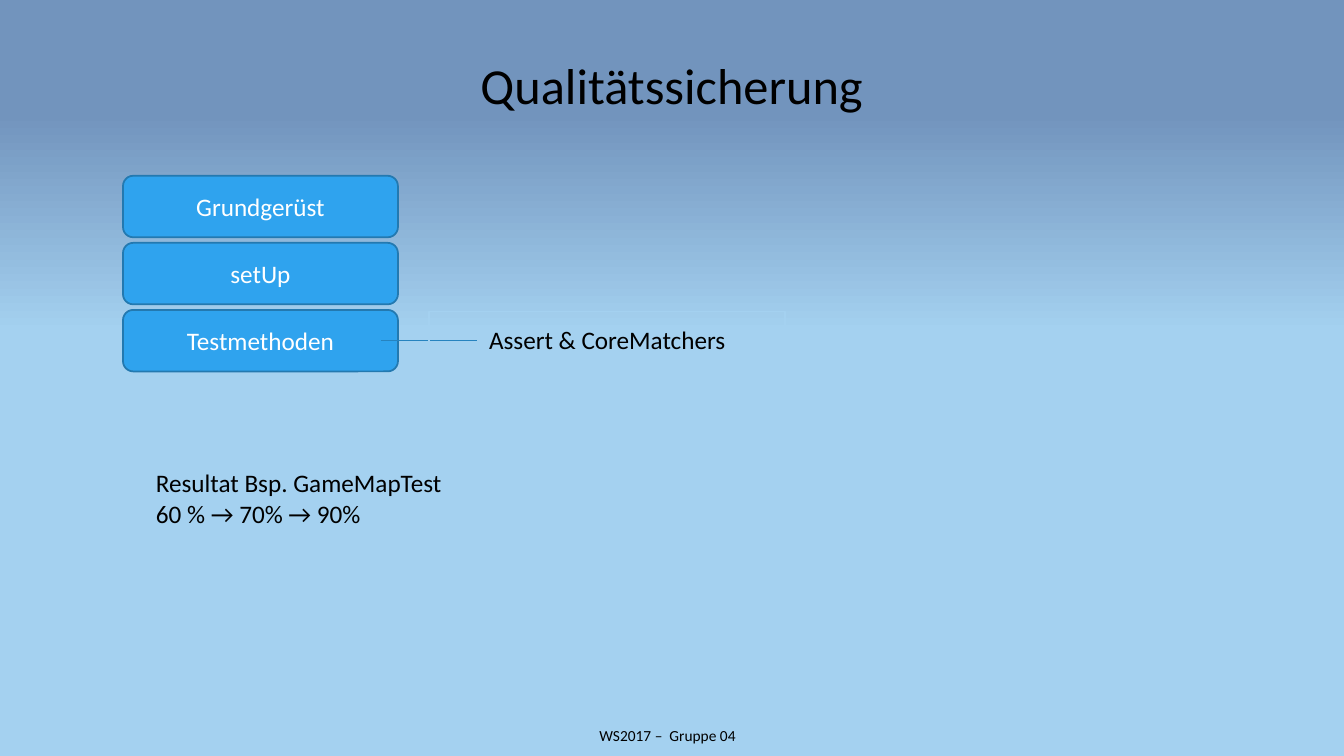
from lxml import etree
from pptx import Presentation
from pptx.dml.color import RGBColor
from pptx.enum.shapes import MSO_CONNECTOR, MSO_SHAPE
from pptx.enum.text import MSO_ANCHOR, MSO_AUTO_SIZE, PP_ALIGN
from pptx.oxml.ns import qn
from pptx.util import Cm, Pt

ROUNDED = MSO_SHAPE.ROUNDED_RECTANGLE
RECTANGLE = MSO_SHAPE.RECTANGLE
STRAIGHT = MSO_CONNECTOR.STRAIGHT
TOP, MIDDLE = MSO_ANCHOR.TOP, MSO_ANCHOR.MIDDLE
LEFT, CENTER = PP_ALIGN.LEFT, PP_ALIGN.CENTER
GROW = MSO_AUTO_SIZE.SHAPE_TO_FIT_TEXT


def rgb(value):
    return RGBColor.from_string(value)


class SlideBuilder:
    font = "Calibri"
    black, white = "000000", "FFFFFF"
    blue, border, link = "2FA3EE", "2379B0", "2683BF"
    sky, dusk = "A4D1F0", "7294BD"

    def __init__(self, slide):
        self.slide = slide

    def background(self, stops):
        fill = self.slide.background.fill
        fill.gradient()
        fill.gradient_angle = 270
        for stop, (position, color) in zip(fill.gradient_stops, stops):
            stop.position = position
            stop.color.rgb = rgb(color)

    def add_lines(self, sp, lines, size, color, align, anchor, spacing=None):
        tf = sp.text_frame
        tf.word_wrap = True
        tf.vertical_anchor = anchor
        for i, line in enumerate(lines):
            p = tf.add_paragraph() if i else tf.paragraphs[0]
            p.alignment = align
            p.line_spacing = spacing
            r = p.add_run()
            r.text = line
            r.font.name = self.font
            r.font.size = Pt(size)
            r.font.color.rgb = rgb(color)

    def text(self, box, lines, size, align=CENTER, anchor=MIDDLE, spacing=None):
        sp = self.slide.shapes.add_textbox(*map(Cm, box))
        self.add_lines(sp, lines, size, self.black, align, anchor, spacing)
        return sp

    def box(self, kind, box, label, fill, line, color):
        sp = self.slide.shapes.add_shape(kind, *map(Cm, box))
        sp.shadow.inherit = False
        if fill:
            sp.fill.solid()
            sp.fill.fore_color.rgb = rgb(fill)
        else:
            sp.fill.background()
        sp.line.color.rgb = rgb(line)
        sp.line.width = Pt(1.25)
        self.add_lines(sp, [label], 18, color, CENTER, MIDDLE)

    def line(self, x1, y1, x2, y2):
        cxn = self.slide.shapes.add_connector(STRAIGHT, *map(Cm, (x1, y1, x2, y2)))
        cxn.line.color.rgb = rgb(self.link)
        cxn.line.width = Pt(0.75)
        etree.SubElement(cxn._element.spPr, qn("a:effectLst"))


def main():
    prs = Presentation()
    prs.slide_width, prs.slide_height = Cm(33.87), Cm(19.05)
    s = SlideBuilder(prs.slides.add_slide(prs.slide_layouts[6]))

    s.background([(0.15, s.dusk), (0.44, s.sky)])
    s.text((2.54, 0, 28.78, 4.45), ["Qualitätssicherung"], 36, spacing=0.9)
    s.text((2.59, 18.01, 28.47, 1.02), ["WS2017 –  Gruppe 04"], 11)

    for i, step in enumerate(["Grundgerüst", "setUp", "Testmethoden"]):
        s.box(ROUNDED, (3.1, 4.43 + i * 1.69, 6.93, 1.55), step,
              s.blue, s.border, s.white)

    s.line(9.6, 8.57, 12.01, 8.57)
    s.box(RECTANGLE, (10.82, 7.85, 8.97, 1.42), "Assert & CoreMatchers",
          None, s.sky, s.black)

    result = s.text((3.68, 11.66, 13.84, 1.8),
                    ["Resultat Bsp. GameMapTest", "60 % → 70% → 90%"],
                    18, LEFT, TOP)
    result.text_frame.auto_size = GROW

    prs.save("out.pptx")


if __name__ == "__main__":
    main()
